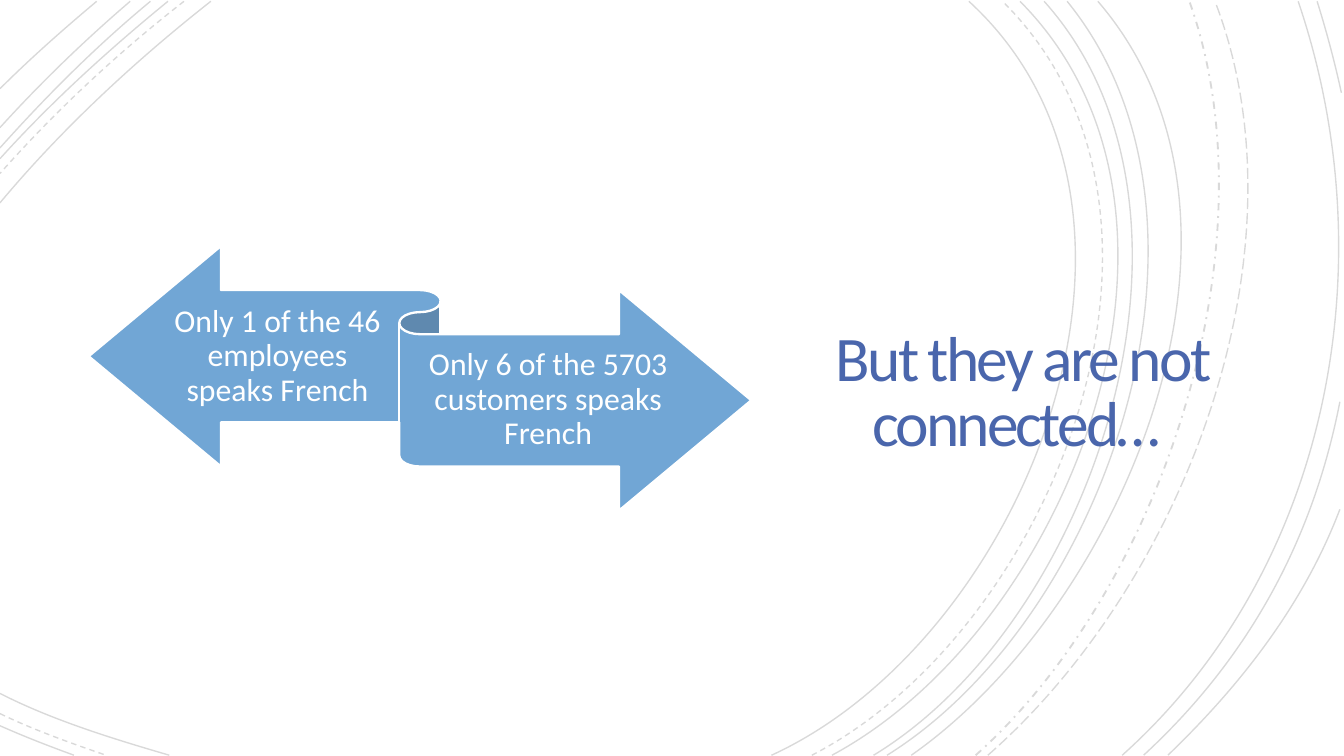
from lxml import etree
from pptx import Presentation
from pptx.dml.color import RGBColor
from pptx.enum.dml import MSO_LINE
from pptx.enum.shapes import MSO_SHAPE
from pptx.enum.text import MSO_ANCHOR, MSO_AUTO_SIZE, PP_ALIGN
from pptx.oxml.ns import qn
from pptx.util import Pt

SOLID, DASH = MSO_LINE.SOLID, MSO_LINE.DASH
DASH_DOT, LONG_DASH = MSO_LINE.DASH_DOT, MSO_LINE.LONG_DASH
RIBBON = MSO_SHAPE.LEFT_RIGHT_RIBBON
MIDDLE, CENTER = MSO_ANCHOR.MIDDLE, PP_ALIGN.CENTER


def paint(color_format, hex_color, opacity=100):
    color_format.rgb = RGBColor.from_string(hex_color)
    if opacity < 100:
        clr = color_format._xFill.find(qn("a:srgbClr"))
        etree.SubElement(clr, qn("a:alpha"), val=str(opacity * 1000))


def write(sp, text, size, color, spacing, margins):
    tf = sp.text_frame
    tf.word_wrap = True
    tf.auto_size = MSO_AUTO_SIZE.NONE
    tf.vertical_anchor = MIDDLE
    tf.margin_left = tf.margin_right = Pt(margins[0])
    tf.margin_top = tf.margin_bottom = Pt(margins[1])
    p = tf.paragraphs[0]
    p.text = text
    p.alignment = CENTER
    p.line_spacing = spacing
    p.font.name = "Calibri"
    p.font.size = Pt(size)
    p.font.color.rgb = RGBColor.from_string(color)
    return p


prs = Presentation()
prs.slide_width, prs.slide_height = Pt(720), Pt(405)
s = prs.slides.add_slide(prs.slide_layouts[5])
s.background.fill.solid()
paint(s.background.fill.fore_color, "FFFFFF")

TOP, BOTTOM = 0.7, 404.6
curves = [
    (SOLID, (413.3, BOTTOM), (548.6, 342.7), (641.5, 113), (519.1, TOP)),
    (DASH, (434.9, BOTTOM), (564.5, 337.7), (652.3, 114.5), (537.1, TOP)),
    (SOLID, (445.7, BOTTOM), (573.1, 336.2), (659.5, 114.5), (546.5, TOP)),
    (SOLID, (468, BOTTOM), (586.8, 332.6), (659.5, 112.3), (559.4, TOP)),
    (SOLID, (475.2, BOTTOM), (594, 330.5), (666, 116.6), (571.7, TOP)),
    (SOLID, (488.2, BOTTOM), (601.2, 325.4), (689.8, 118.8), (588.2, TOP)),
    (DASH_DOT, (522.7, BOTTOM), (623.5, 314.6), (683.3, 129.6), (637.2, TOP)),
    (LONG_DASH, (529.2, BOTTOM), (633.6, 313.2), (702.7, 135.4), (650.9, TOP)),
    (SOLID, (601.2, BOTTOM), (712.8, 304.6), (743, 140.4), (695.5, TOP)),
    (SOLID, (612.7, BOTTOM), (668.9, 352.8), (703.4, 289.4), (717.8, 215.3)),
    (SOLID, (625.7, BOTTOM), (664.6, 367.2), (698.4, 324), (717.8, 272.9)),
    (SOLID, (718.6, 49.7), (715, 33.1), (710.6, 16.6), (705.6, TOP)),
    (SOLID, (0, 371.5), (28.1, 385.9), (61.2, 396), (90.7, BOTTOM)),
    (DASH, (0, 382.3), (18, 391), (38.2, 398.2), (56.9, BOTTOM)),
    (SOLID, (0, 388.8), (13, 394.6), (25.9, 399.6), (39.6, BOTTOM)),
    (SOLID, (113, TOP), (72.7, 32.4), (33.1, 69.1), (0, 108.7)),
    (DASH, (98.6, TOP), (63.4, 28.1), (30.2, 59), (0, 92.9)),
    (SOLID, (90, TOP), (58.3, 26.6), (27.4, 54.7), (0, 85)),
    (SOLID, (80.6, TOP), (51.8, 24.5), (25.2, 51.1), (0, 79.2)),
    (SOLID, (69.8, TOP), (45.4, 21.6), (21.6, 44.6), (0, 68.4)),
    (SOLID, (51.8, TOP), (34.6, 15.1), (16.6, 31), (0, 47.5)),
]
for dash, *points in curves:
    start, *rest = [(Pt(x), Pt(y)) for x, y in points]
    builder = s.shapes.build_freeform(*start)
    builder.add_line_segments(rest, close=False)
    sp = builder.convert_to_shape()
    path = sp._element.find(".//" + qn("a:path"))
    bezier = etree.SubElement(path, qn("a:cubicBezTo"))
    for segment in path.findall(qn("a:lnTo")):
        bezier.append(segment[0])
        path.remove(segment)
    sp.shadow.inherit = False
    sp.fill.background()
    sp.line.fill.solid()
    paint(sp.line.fill.fore_color, "000000", 15)
    sp.line.width = Pt(1 if dash == DASH_DOT else 0.75)
    sp.line.dash_style = dash

title = s.shapes.title
sp._element.addnext(title._element)
title.left, title.top, title.width, title.height = Pt(427.7), Pt(139), Pt(239.8), Pt(144.7)
p = write(title, "But they are not connected… ", 34, "4A66AC", 0.85, (18, 18))
p.runs[0].font._element.set("spc", "-150")

ribbon = s.shapes.add_shape(RIBBON, Pt(47.5), Pt(131.8), Pt(355), Pt(141.8))
ribbon.shadow.inherit = False
ribbon.fill.solid()
paint(ribbon.fill.fore_color, "629DD1", 90)
paint(ribbon.line.color, "FFFFFF")
ribbon.line.width = Pt(1.25)

for text, left, top, width in [
    ("Only 1 of the 46 employees speaks French", 90, 156.2, 117.4),
    ("Only 6 of the 5703 customers speaks French", 224.6, 179.3, 138.2),
]:
    box = s.shapes.add_textbox(Pt(left), Pt(top), Pt(width), Pt(69.8))
    write(box, text, 17, "FFFFFF", 0.9, (0, 5))

prs.save("out.pptx")
